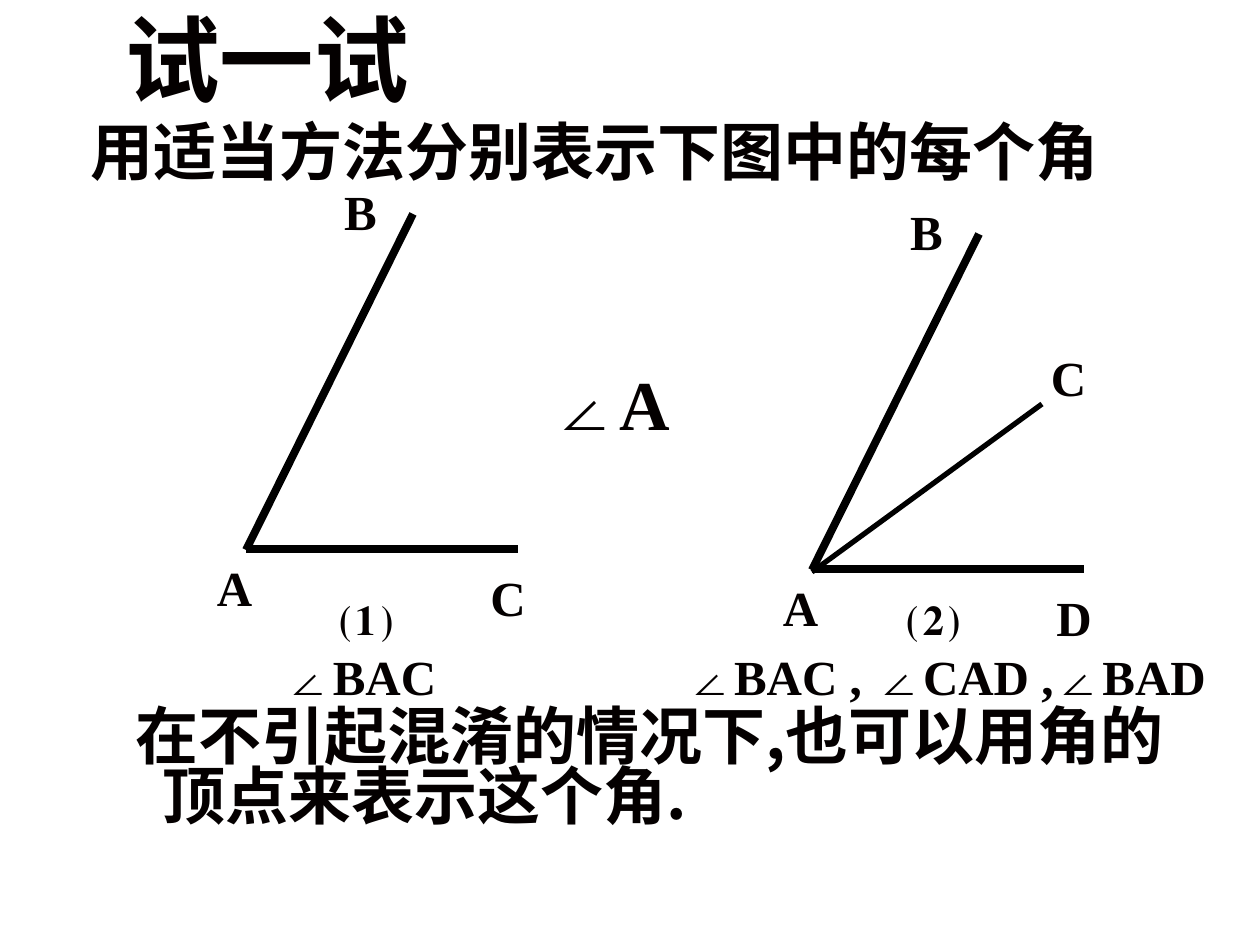
"""Build a geometry slide on naming the angles in two figures."""
from lxml.etree import SubElement
from pptx import Presentation
from pptx.dml.color import RGBColor
from pptx.enum.shapes import MSO_CONNECTOR
from pptx.enum.text import MSO_ANCHOR, PP_ALIGN
from pptx.oxml.ns import qn
from pptx.util import Pt

COLORS = {"text": "040000", "line": "000000"}
SERIF, SANS, CJK = "Times New Roman", "Arial", "Noto Sans CJK SC"
EMU_PER_PX = 914400 / 126

TITLE = ("试一试", (95, 16, 344, 83), 54)

ARM_RAYS = [((413, 214), (246, 550), 4.5), ((246, 549), (518, 549), 4.5)]
INNER_RAY = ((246, 552), (476, 384), 3)
B_LABEL = ("B", (329, 175, 63, 72))
A_LABEL = ("A", (203, 551, 63, 72))
C_LABEL = ("C", (466, 561, 84, 72))
D_LABEL = ("D", (466, 561, 84, 72))
INNER_LABEL = ("C", (466, 321, 73, 72))

FIGURES = [
    ((0, 0), ARM_RAYS, [B_LABEL, A_LABEL, C_LABEL]),
    ((566, 20), ARM_RAYS + [INNER_RAY],
     [B_LABEL, A_LABEL, D_LABEL, INNER_LABEL]),
]

TEXTS = [
    ("⑴", (326, 573, 81, 81), 32, SERIF, SERIF, PP_ALIGN.CENTER),
    ("⑵", (893, 573, 81, 81), 32, SERIF, SERIF, PP_ALIGN.CENTER),
    ("用适当方法分别表示下图中的每个角", (64, 106, 1061, 88), 36, SERIF, CJK,
     PP_ALIGN.CENTER),
    ("在不引起混淆的情况下,也可以用角的", (123, 690, 1130, 88), 36, CJK, CJK,
     PP_ALIGN.LEFT),
    ("∠BAC", (150, 640, 420, 72), 28, SERIF, SERIF, PP_ALIGN.CENTER),
    ("∠BAC , ∠CAD ,∠BAD", (662, 640, 567, 72), 28, SERIF, SERIF,
     PP_ALIGN.CENTER),
    ("顶点来表示这个角.", (137, 750, 576, 88), 36, CJK, CJK, PP_ALIGN.CENTER),
    ("∠A", (481, 354, 258, 97), 40, SERIF, SERIF, PP_ALIGN.CENTER),
]


def px(*values):
    return [round(v * EMU_PER_PX) for v in values]


def shifted(point, offset):
    return point[0] + offset[0], point[1] + offset[1]


def write(sp, text, size, font, east_font, align):
    tf = sp.text_frame
    tf.word_wrap = True
    tf.text = text
    p = tf.paragraphs[0]
    p.alignment = align
    r = p.runs[0]
    r.font.size, r.font.bold, r.font.name = Pt(size), True, font
    r.font.color.rgb = RGBColor.from_string(COLORS["text"])
    SubElement(r.font._element, qn("a:ea")).set("typeface", east_font)


def add_text(shapes, text, box, *style):
    write(shapes.add_textbox(*px(*box)), text, *style)


def add_ray(shapes, start, end, width):
    ray = shapes.add_connector(MSO_CONNECTOR.STRAIGHT, *px(*start, *end))
    ray.line.width = Pt(width)
    ray.line.color.rgb = RGBColor.from_string(COLORS["line"])
    SubElement(ray._element.spPr, qn("a:effectLst"))


def add_figure(s, offset, rays, labels):
    shapes = s.shapes.add_group_shape().shapes
    for start, end, width in rays:
        add_ray(shapes, shifted(start, offset), shifted(end, offset), width)
    for text, (x, y, w, h) in labels:
        box = (*shifted((x, y), offset), w, h)
        add_text(shapes, text, box, 28, SERIF, SERIF, PP_ALIGN.CENTER)


def main():
    prs = Presentation()
    prs.slide_width, prs.slide_height = px(1260, 945)
    s = prs.slides.add_slide(prs.slide_layouts[5])

    text, box, size = TITLE
    title = s.shapes.title
    title.left, title.top, title.width, title.height = px(*box)
    write(title, text, size, SANS, CJK, PP_ALIGN.CENTER)
    title.text_frame.vertical_anchor = MSO_ANCHOR.MIDDLE

    for figure in FIGURES:
        add_figure(s, *figure)
    for item in TEXTS:
        add_text(s.shapes, *item)
    prs.save("out.pptx")


if __name__ == "__main__":
    main()
